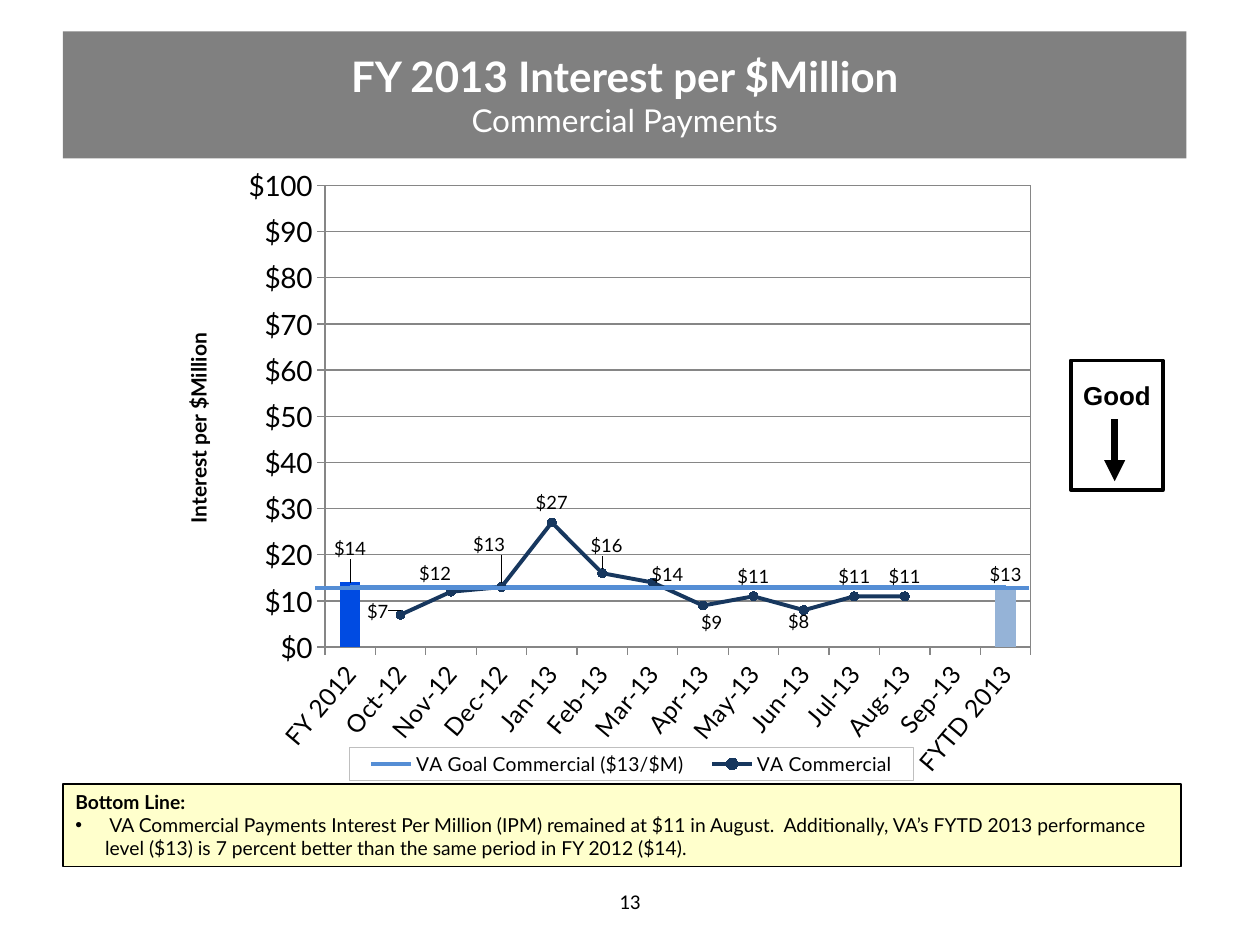
from pptx import Presentation
from pptx.chart.data import CategoryChartData
from pptx.dml.color import RGBColor
from pptx.enum.chart import XL_CHART_TYPE, XL_LABEL_POSITION, XL_LEGEND_POSITION
from pptx.enum.chart import XL_MARKER_STYLE, XL_TICK_MARK
from pptx.enum.shapes import MSO_CONNECTOR, MSO_SHAPE
from pptx.enum.text import MSO_ANCHOR, PP_ALIGN
from pptx.oxml import parse_xml
from pptx.oxml.ns import nsdecls
from pptx.util import Pt

COLORS = {
    "black": "000000", "white": "FFFFFF", "banner": "808080", "note": "FFFFCC",
    "goal": "558ED5", "actual": "17375E", "marker": "1F497D", "grid": "868686",
    "last_year": "004BE2", "this_year": "95B3D7", "legend_edge": "BFBFBF",
}
DOLLARS = '"$"#,##0'
MONTHS = ["Oct-12", "Nov-12", "Dec-12", "Jan-13", "Feb-13", "Mar-13",
          "Apr-13", "May-13", "Jun-13", "Jul-13", "Aug-13", "Sep-13"]
MONTHLY = [7, 12, 13, 27, 16, 14, 9, 11, 8, 11, 11, None]
GOAL = 13
CHART_WIDTH, CHART_HEIGHT = 486, 358
# Label shifts in points
YEAR_SHIFTS = {0: (0, -10.5), 13: (0, 2)}
MONTH_SHIFTS = {1: (-13, 9.5), 2: (-9, 1.5), 3: (-7, -12.5), 5: (2.5, -4),
                6: (8.5, 7), 7: (5, 21.5), 9: (-3, 18)}
C15 = "http://schemas.microsoft.com/office/drawing/2012/chart"


def color(name):
    return RGBColor.from_string(COLORS[name])


def style_font(font, size, face="Lato", bold=False, ink="black"):
    font.size, font.name, font.bold = Pt(size), face, bold
    font.color.rgb = color(ink)


def write(paragraph, text, align=PP_ALIGN.LEFT, **style):
    """Append one formatted run to a paragraph."""
    paragraph.alignment = align
    run = paragraph.add_run()
    run.text = text
    style_font(run.font, **style)


def style_line(line, ink, width):
    line.color.rgb = color(ink)
    line.width = Pt(width)


def layout(x, y, w=None, h=None, inner=False):
    """Manual chart layout; without a size it is a label shift."""
    parts = ['<c:layoutTarget val="inner"/>'] if inner else []
    if w:
        parts += ['<c:xMode val="edge"/>', '<c:yMode val="edge"/>']
    parts += [f'<c:{tag} val="{value}"/>'
              for tag, value in zip("xywh", (x, y, w, h)) if value is not None]
    return parse_xml(f'<c:layout {nsdecls("c")}><c:manualLayout>{"".join(parts)}'
                     '</c:manualLayout></c:layout>')


def outline(ink):
    return parse_xml(f'<c:spPr {nsdecls("c", "a")}><a:ln w="9525"><a:solidFill>'
                     f'<a:srgbClr val="{COLORS[ink]}"/></a:solidFill></a:ln></c:spPr>')


def label_points(series, position, shifts):
    labels = series.data_labels
    labels.show_value = True
    labels.number_format, labels.number_format_is_linked = DOLLARS, False
    labels.position = position
    style_font(labels.font, 10.5)
    for index, (dx, dy) in shifts.items():
        label = series.points[index].data_label
        style_font(label.font, 10.5)
        label.position = position
        idx = series._element.xpath(f'c:dLbls/c:dLbl/c:idx[@val="{index}"]')[0]
        idx.addnext(layout(dx / CHART_WIDTH, dy / CHART_HEIGHT))
    # No leader lines to the shifted labels
    series._element.xpath("c:dLbls")[0].append(parse_xml(
        f'<c:extLst {nsdecls("c")}><c:ext uri="{{CE6537A1-D6FC-4f65-9D91-7224C49458BB}}" '
        f'xmlns:c15="{C15}"><c15:showLeaderLines val="0"/></c:ext></c:extLst>'))


def move_to_lines(chart):
    """Turn every series after the first into a line on the same axes."""
    bars = chart._chartSpace.xpath(".//c:barChart")[0]
    lines = parse_xml(f'<c:lineChart {nsdecls("c")}><c:grouping val="standard"/>'
                      '<c:varyColors val="0"/><c:marker val="1"/></c:lineChart>')
    for series in bars.xpath("c:ser")[1:]:
        for flag in series.xpath("c:invertIfNegative"):
            series.remove(flag)
        lines.insert(len(lines) - 1, series)
    for axis in bars.xpath("c:axId"):
        lines.append(parse_xml(f'<c:axId {nsdecls("c")} val="{axis.get("val")}"/>'))
    bars.addnext(lines)


class InterestSlide:
    def __init__(self, deck):
        self.slide = deck.slides.add_slide(deck.slide_layouts[6])
        self.shapes = self.slide.shapes

    def box(self, x, y, w, h, fill, edge=None, width=1):
        box = self.shapes.add_shape(MSO_SHAPE.RECTANGLE, Pt(x), Pt(y), Pt(w), Pt(h))
        box.shadow.inherit = False
        box.fill.solid()
        box.fill.fore_color.rgb = color(fill)
        if edge:
            style_line(box.line, edge, width)
        else:
            box.line.fill.background()
        box.text_frame.word_wrap = True
        return box.text_frame

    def text(self, x, y, w, h, text, **style):
        frame = self.shapes.add_textbox(Pt(x), Pt(y), Pt(w), Pt(h)).text_frame
        frame.word_wrap = True
        write(frame.paragraphs[0], text, **style)
        return frame

    def line(self, x1, y1, x2, y2, ink, width, arrow=False):
        line = self.shapes.add_connector(MSO_CONNECTOR.STRAIGHT, Pt(x1), Pt(y1), Pt(x2), Pt(y2))
        style_line(line.line, ink, width)
        if arrow:
            line.line._get_or_add_ln().append(
                parse_xml(f'<a:tailEnd {nsdecls("a")} type="triangle"/>'))
        line._element.spPr.append(parse_xml(f'<a:effectLst {nsdecls("a")}/>'))

    def chart(self, x, y, w, h):
        data = CategoryChartData(number_format=DOLLARS)
        data.categories = ["FY 2012", *MONTHS, "FYTD 2013"]
        data.add_series("Series 1", [14] + [None] * len(MONTHS) + [13])
        data.add_series("VA Goal Commercial ($13/$M)", [GOAL] * (len(MONTHS) + 2))
        data.add_series("VA Commercial", [None, *MONTHLY, None])
        chart = self.shapes.add_chart(XL_CHART_TYPE.COLUMN_CLUSTERED,
                                      Pt(x), Pt(y), Pt(w), Pt(h), data).chart
        chart.has_title = False
        style_font(chart.font, 18, "Calibri")
        move_to_lines(chart)
        columns, lines = chart.plots
        columns.vary_by_categories = False
        columns.gap_width = 150

        # Year columns
        years = columns.series[0]
        for index, ink in ((0, "last_year"), (len(MONTHS) + 1, "this_year")):
            fill = years.points[index].format.fill
            fill.solid()
            fill.fore_color.rgb = color(ink)
        label_points(years, XL_LABEL_POSITION.OUTSIDE_END, YEAR_SHIFTS)

        # Goal and monthly lines
        goal, actual = lines.series
        for series, ink in ((goal, "goal"), (actual, "actual")):
            series.smooth = False
            style_line(series.format.line, ink, 2.25)
        goal.marker.style = XL_MARKER_STYLE.NONE
        actual.marker.style, actual.marker.size = XL_MARKER_STYLE.CIRCLE, 5
        actual.marker.format.fill.solid()
        actual.marker.format.fill.fore_color.rgb = color("marker")
        label_points(actual, XL_LABEL_POSITION.ABOVE, MONTH_SHIFTS)

        # Axes
        months, dollars = chart.category_axis, chart.value_axis
        for axis, size in ((months, 14), (dollars, 16)):
            style_font(axis.tick_labels.font, size)
            style_line(axis.format.line, "grid", 0.75)
            axis.major_tick_mark = XL_TICK_MARK.OUTSIDE
        months._element.xpath("c:txPr/a:bodyPr")[0].set("rot", "-3000000")
        dollars.minimum_scale, dollars.maximum_scale, dollars.major_unit = 0, 100, 10
        dollars.tick_labels.number_format = DOLLARS
        dollars.tick_labels.number_format_is_linked = False
        style_line(dollars.major_gridlines.format.line, "grid", 0.75)

        # Plot area and legend
        plot = chart._chartSpace.xpath(".//c:plotArea")[0]
        for old in plot.xpath("c:layout"):
            plot.remove(old)
        plot.insert(0, layout(0.147, 0.044, 0.83, 0.737, inner=True))
        plot.append(outline("grid"))
        chart.has_legend = True
        legend = chart.legend
        legend.position, legend.include_in_layout = XL_LEGEND_POSITION.BOTTOM, False
        style_font(legend.font, 11)
        for old in legend._element.xpath("c:layout"):
            legend._element.remove(old)
        place = legend._element.xpath("c:legendPos")[0]
        place.addnext(layout(0.176, 0.941, 0.663, 0.053))
        place.addnext(parse_xml(f'<c:legendEntry {nsdecls("c")}><c:idx val="0"/>'
                                '<c:delete val="1"/></c:legendEntry>'))
        legend._element.xpath("c:overlay")[0].addnext(outline("legend_edge"))


def main():
    deck = Presentation()
    deck.slide_width, deck.slide_height = Pt(720), Pt(540)
    page = InterestSlide(deck)
    center = PP_ALIGN.CENTER

    # Chart with its goal line
    page.chart(114.25, 90.25, CHART_WIDTH, CHART_HEIGHT)
    page.line(180, 336.25, 588.25, 336.25, "goal", 2.25)

    # Title banner
    banner = page.box(36, 18, 642, 72.5, "banner")
    banner.vertical_anchor = MSO_ANCHOR.MIDDLE
    title = banner.paragraphs[0]
    write(title, "FY 2013 Interest per $Million", center, size=24, bold=True, ink="white")
    title.add_line_break()
    write(title, "Commercial Payments", center, size=18, ink="white")

    # Bottom line
    note = page.box(36, 448, 639, 47.25, "note", "black")
    note.vertical_anchor = MSO_ANCHOR.TOP
    write(note.paragraphs[0], "Bottom Line:", size=11, bold=True)
    bullet = note.add_paragraph()
    props = bullet._p.get_or_add_pPr()
    props.set("marL", str(Pt(17)))
    props.set("indent", str(Pt(-17)))
    props.append(parse_xml(f'<a:buFont {nsdecls("a")} typeface="Arial"/>'))
    props.append(parse_xml(f'<a:buChar {nsdecls("a")} char="•"/>'))
    write(bullet, " VA Commercial Payments Interest Per Million (IPM) remained at $11 in August.  "
          "Additionally, VA’s FYTD 2013 performance level ($13) is 7 percent better than "
          "the same period in FY 2012 ($14).", size=11)

    # Page number and axis caption
    number = page.text(246, 500.5, 228, 28.75, "13", align=center, size=12, face="Calibri")
    number.vertical_anchor = MSO_ANCHOR.MIDDLE
    caption = page.text(102.5, 174, 29, 132, "Interest per $Million", size=12, bold=True)
    caption._txBody.bodyPr.set("vert", "vert270")

    # Direction key
    page.shapes = page.slide.shapes.add_group_shape().shapes
    page.box(612, 206, 52.5, 74, "white", "black", 2.25)
    page.line(637, 239.5, 637, 275, "black", 4, arrow=True)
    good = page.text(612, 214, 52.5, 25, "Good", align=center, size=14.8, face="Arial", bold=True)
    good.margin_left = good.margin_right = good.margin_top = Pt(3)
    good.margin_bottom = 0

    deck.save("out.pptx")


if __name__ == "__main__":
    main()
